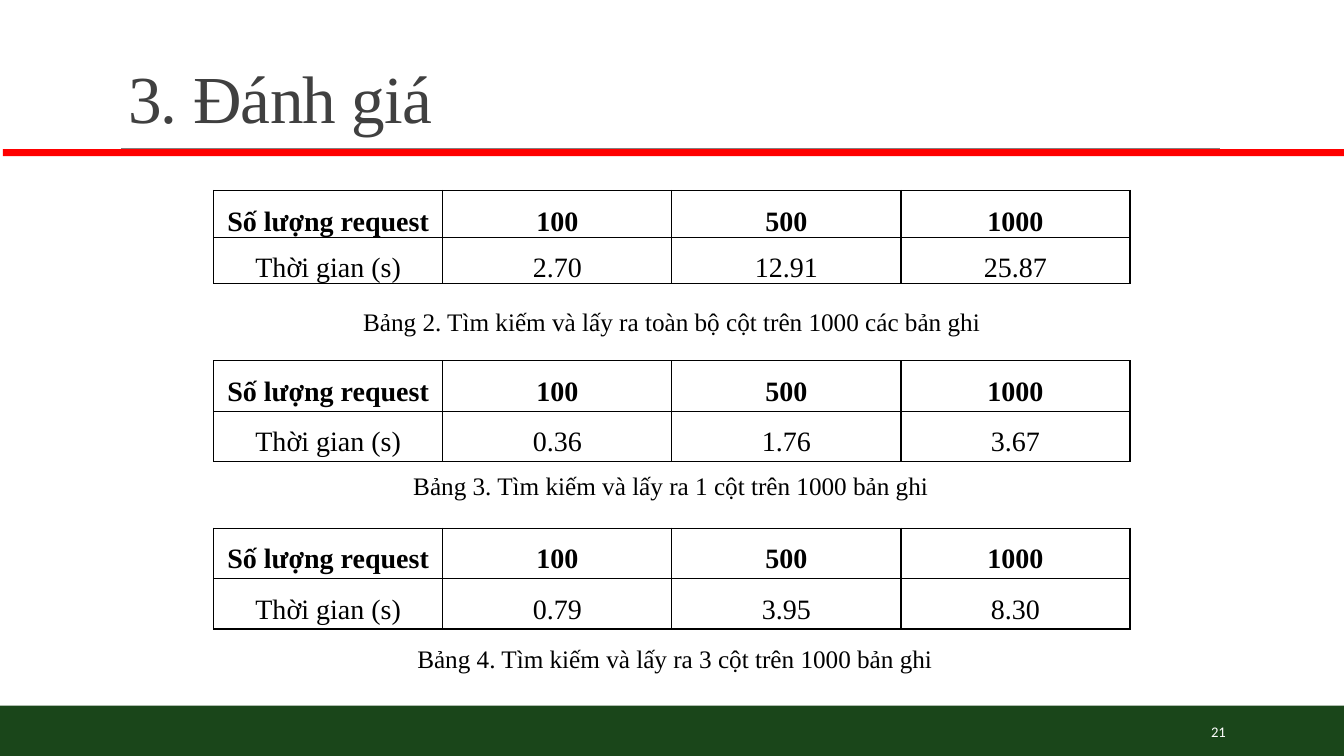
import dataclasses
import typing

import pptx
import pptx.dml.color
import pptx.enum.shapes
import pptx.enum.text
import pptx.oxml
import pptx.oxml.ns
import pptx.util

ALIGN = pptx.enum.text.PP_ALIGN
ANCHOR = pptx.enum.text.MSO_ANCHOR
SHAPE = pptx.enum.shapes.MSO_SHAPE
CONNECTOR = pptx.enum.shapes.MSO_CONNECTOR


@dataclasses.dataclass(frozen=True)
class Theme:
    serif: str = "Times New Roman"
    sans: str = "Calibri"
    ink: str = "000000"
    heading: str = "404040"
    paper: str = "FFFFFF"
    footer: str = "1A461A"
    accent: str = "FF0000"
    rule: str = "808080"
    title_size: float = 48
    cell_size: float = 20
    caption_size: float = 18
    number_size: float = 10.5


@dataclasses.dataclass(frozen=True)
class Area:
    """Left, top, width and height as percentages of the slide."""

    left: float
    top: float
    width: float
    height: float


@dataclasses.dataclass(frozen=True)
class Benchmark:
    top: float
    seconds: tuple[str, ...]
    caption: str
    caption_left: float
    caption_top: float


THEME = Theme()
WIDTH = pptx.util.Inches(13.333)
HEIGHT = pptx.util.Inches(7.5)
TABLE_LEFT, TABLE_WIDTH = 15.9, 68.18
ROW_HEIGHT = 5.47
CAPTION_HEIGHT = 5.33
HEADER = ("Số lượng request", "100", "500", "1000")
TIME_LABEL = "Thời gian (s)"
BENCHMARKS = (
    Benchmark(25.2, ("2.70", "12.91", "25.87"),
              "Bảng 2. Tìm kiếm và lấy ra toàn bộ cột trên 1000 các bản ghi", 15.9, 39.87),
    Benchmark(47.73, ("0.36", "1.76", "3.67"),
              "Bảng 3. Tìm kiếm và lấy ra 1 cột trên 1000 bản ghi", 15.83, 61.6),
    Benchmark(69.87, ("0.79", "3.95", "8.30"),
              "Bảng 4. Tìm kiếm và lấy ra 3 cột trên 1000 bản ghi", 16.13, 84.4),
)


def across(percent: float) -> int:
    return round(WIDTH * percent / 100)


def down(percent: float) -> int:
    return round(HEIGHT * percent / 100)


def place(area: Area) -> tuple[int, int, int, int]:
    return across(area.left), down(area.top), across(area.width), down(area.height)


def color(value: str) -> pptx.dml.color.RGBColor:
    return pptx.dml.color.RGBColor.from_string(value)


def write(frame: typing.Any, text: str, *, size: float, ink: str = THEME.ink,
          font: str = THEME.serif, bold: bool = False, align: typing.Any = ALIGN.CENTER,
          line_spacing: float | None = None, before: float = 0, after: float = 0,
          tracking: float = 0) -> None:
    frame.word_wrap = True
    para = frame.paragraphs[0]
    para.alignment = align
    para.line_spacing = line_spacing
    para.space_before = pptx.util.Pt(before)
    para.space_after = pptx.util.Pt(after)
    span = para.add_run()
    span.text = text
    span.font.name = font
    span.font.size = pptx.util.Pt(size)
    span.font.bold = bold
    span.font.color.rgb = color(ink)
    if tracking:
        span._r.get_or_add_rPr().set("spc", str(round(tracking * 100)))


def add_bar(page: typing.Any, area: Area, fill: str) -> None:
    bar = page.shapes.add_shape(SHAPE.RECTANGLE, *place(area))
    bar.shadow.inherit = False
    bar.fill.solid()
    bar.fill.fore_color.rgb = color(fill)
    bar.line.fill.background()


def add_rule(page: typing.Any, left: float, right: float, top: float) -> None:
    rule = page.shapes.add_connector(
        CONNECTOR.STRAIGHT, across(left), down(top), across(right), down(top))
    rule.line.color.rgb = color(THEME.rule)
    rule.line.width = pptx.util.Pt(0.5)
    rule._element.spPr.append(pptx.oxml.parse_xml(
        f"<a:effectLst {pptx.oxml.ns.nsdecls('a')}/>"))


def add_title(page: typing.Any, text: str, area: Area) -> None:
    title = page.shapes.title
    title.left, title.top, title.width, title.height = place(area)
    title.text_frame.auto_size = pptx.enum.text.MSO_AUTO_SIZE.NONE
    title.text_frame.vertical_anchor = ANCHOR.BOTTOM
    write(title.text_frame, text, size=THEME.title_size, ink=THEME.heading,
          align=ALIGN.LEFT, line_spacing=0.85, tracking=-0.5)


def add_text(page: typing.Any, text: str, area: Area, anchor: typing.Any = ANCHOR.TOP,
             **style: typing.Any) -> None:
    box = page.shapes.add_textbox(*place(area))
    box.text_frame.vertical_anchor = anchor
    write(box.text_frame, text, **style)


def add_borders(cell: typing.Any) -> None:
    properties = cell._tc.get_or_add_tcPr()
    for index, side in enumerate(("lnL", "lnR", "lnT", "lnB")):
        properties.insert(index, pptx.oxml.parse_xml(
            f'<a:{side} {pptx.oxml.ns.nsdecls("a")} w="{pptx.util.Pt(1)}">'
            f'<a:solidFill><a:srgbClr val="{THEME.ink}"/></a:solidFill></a:{side}>'))


def add_benchmark(page: typing.Any, benchmark: Benchmark) -> None:
    rows = (HEADER, (TIME_LABEL, *benchmark.seconds))
    area = Area(TABLE_LEFT, benchmark.top, TABLE_WIDTH, ROW_HEIGHT * len(rows))
    table = page.shapes.add_table(len(rows), len(HEADER), *place(area)).table
    table.first_row = table.horz_banding = False
    for row_index, values in enumerate(rows):
        for column_index, value in enumerate(values):
            cell = table.cell(row_index, column_index)
            cell.margin_left = cell.margin_right = pptx.util.Inches(0.07)
            cell.margin_top = cell.margin_bottom = 0
            cell.fill.background()
            add_borders(cell)
            write(cell.text_frame, value, size=THEME.cell_size, bold=row_index == 0,
                  line_spacing=1.5, before=10, after=6)
    add_text(page, benchmark.caption,
             Area(benchmark.caption_left, benchmark.caption_top, TABLE_WIDTH, CAPTION_HEIGHT),
             size=THEME.caption_size)


def main() -> None:
    deck = pptx.Presentation()
    deck.slide_width, deck.slide_height = WIDTH, HEIGHT
    page = deck.slides.add_slide(deck.slide_layouts[5])
    add_bar(page, Area(0, 93.33, 100, 6.67), THEME.footer)
    add_bar(page, Area(0.22, 19.73, 99.78, 0.93), THEME.accent)
    add_rule(page, 9, 90.75, 19.6)
    add_title(page, "3. Đánh giá", Area(8.78, 3.07, 82.5, 15.73))
    for benchmark in BENCHMARKS:
        add_benchmark(page, benchmark)
    add_text(page, "21", Area(81.22, 94.13, 10.73, 5.33), ANCHOR.MIDDLE,
             size=THEME.number_size, ink=THEME.paper, font=THEME.sans, align=ALIGN.RIGHT)
    deck.save("out.pptx")


if __name__ == "__main__":
    main()
